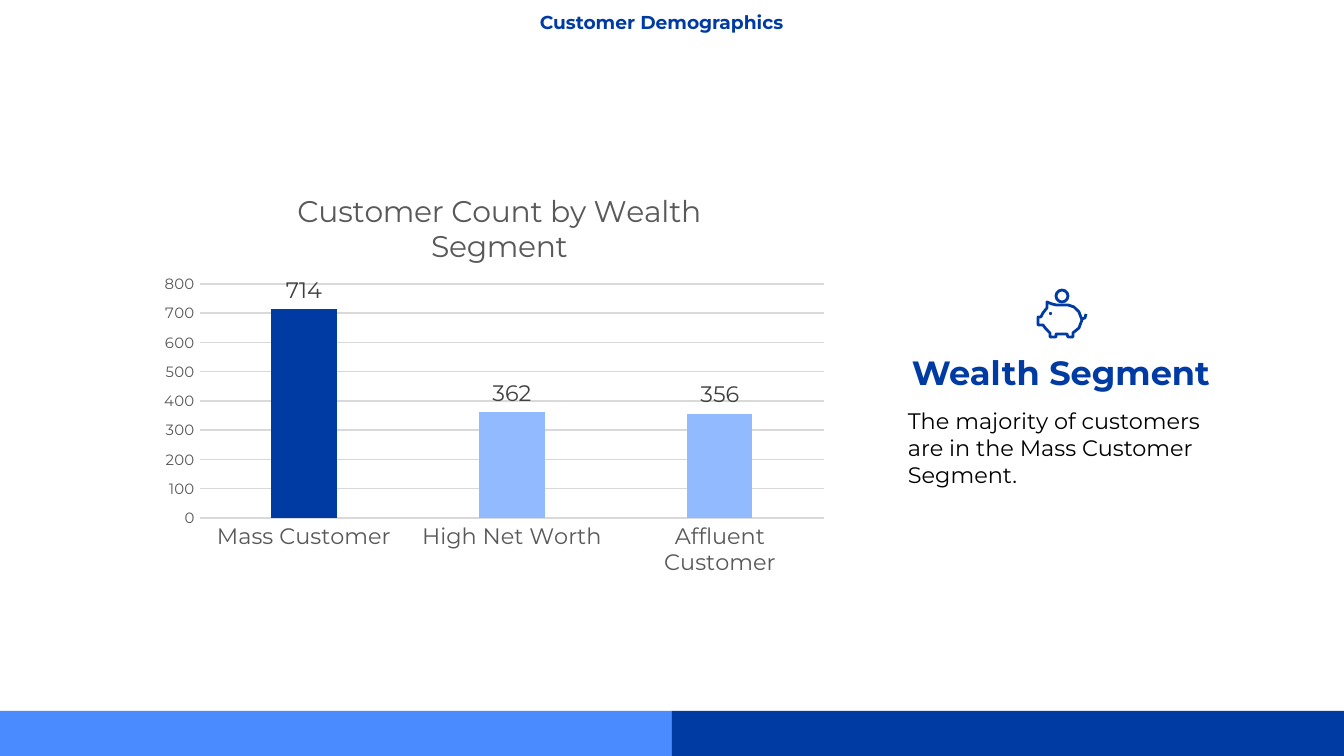
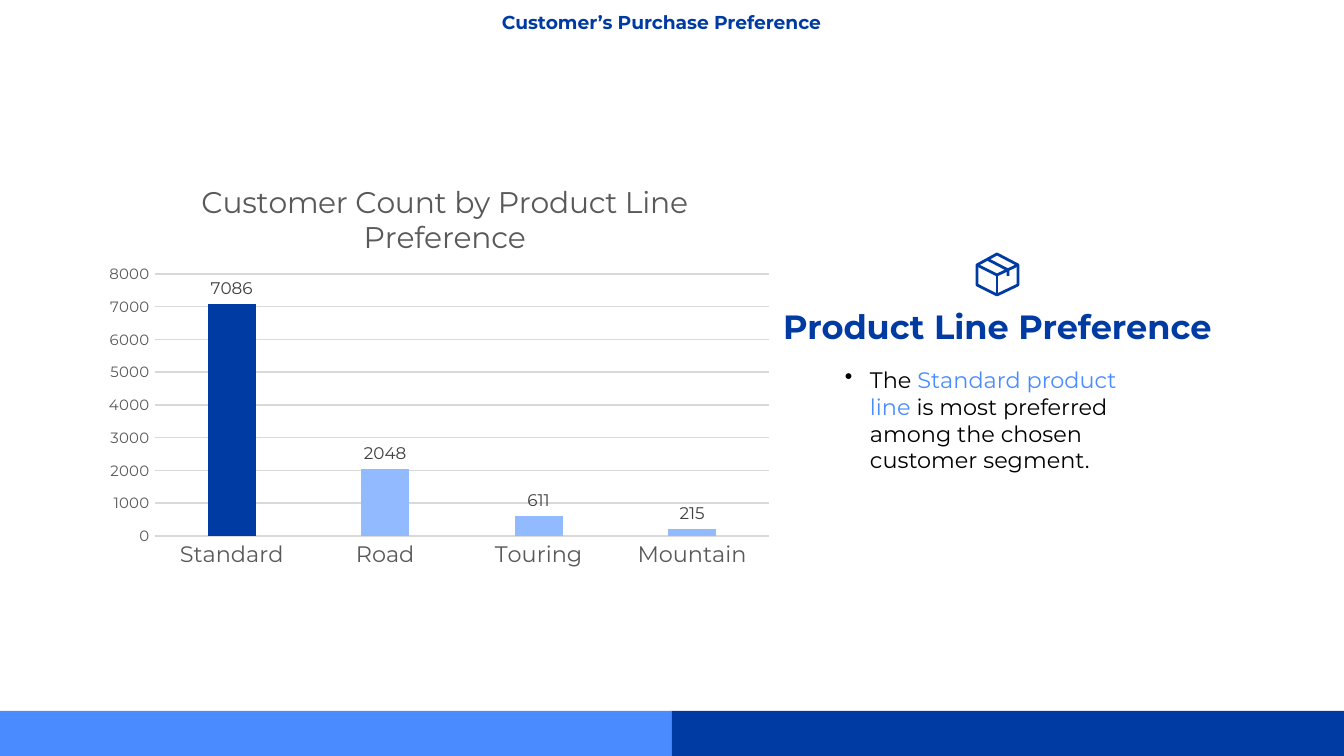
"""Build two customer insight slides, each with a column chart and a takeaway."""
from lxml import etree
from pptx import Presentation
from pptx.chart.data import CategoryChartData
from pptx.dml.color import RGBColor
from pptx.enum.chart import XL_CHART_TYPE, XL_LABEL_POSITION, XL_TICK_MARK
from pptx.enum.shapes import MSO_SHAPE
from pptx.enum.text import PP_ALIGN
from pptx.oxml.ns import qn
from pptx.util import Pt

PX = 914400 / 134.4
SLIDE_W, SLIDE_H = 1344, 756
BAND_TOP = 711
INSET = 13
CHART_SIZE = (688, 423)
FONT = "Montserrat"
NAVY = RGBColor(0x00, 0x3B, 0xA3)
BLUE = RGBColor(0x4A, 0x8C, 0xFF)
PALE = RGBColor(0x92, 0xBA, 0xFF)
BLACK = RGBColor(0, 0, 0)
GREY = RGBColor(0x59, 0x59, 0x59)
DARK_GREY = RGBColor(0x40, 0x40, 0x40)
GRID = RGBColor(0xD9, 0xD9, 0xD9)
COLUMN, OUTSIDE_END = XL_CHART_TYPE.COLUMN_CLUSTERED, XL_LABEL_POSITION.OUTSIDE_END
NO_TICK = XL_TICK_MARK.NONE
RECT, OVAL = MSO_SHAPE.RECTANGLE, MSO_SHAPE.OVAL
LEFT, CENTER = PP_ALIGN.LEFT, PP_ALIGN.CENTER

PIG = {
    "outlines": [
        ([(1047, 302), (1047, 308), (1043, 313), (1041, 317), (1038, 317),
          (1038, 325), (1043, 325), (1046, 329), (1050, 333), (1050, 337),
          (1056, 337), (1056, 334), (1067, 334), (1068, 337), (1073, 337),
          (1073, 333), (1079, 328), (1082, 320), (1079, 312), (1074, 307),
          (1068, 305), (1056, 305), (1052, 304)], True),
        ([(1082, 319), (1085, 318), (1086, 314)], False),
    ],
    "ring": (1056, 290, 12, 12),
    "dot": (1049, 312, 3, 3),
}
BOX = {
    "outlines": [
        ([(997, 254), (1018, 265), (1018, 285), (997, 295), (977, 285), (977, 265)], True),
        ([(977, 265), (997, 275), (1018, 265)], False),
        ([(997, 275), (997, 295)], False),
        ([(987, 259), (1008, 270), (1008, 276)], False),
    ],
}
SLIDES = [
    {
        "title": "Customer Demographics",
        "heading": ("Wealth Segment", (895, 339, 332, 60)),
        "takeaway": ([("The majority of customers are in the Mass Customer Segment.", BLACK)],
                     (895, 394, 332, 106)),
        "bulleted": False,
        "icon": PIG,
        "chart": {
            "title": "Customer Count by Wealth Segment",
            "counts": {"Mass Customer": 714, "High Net Worth": 362, "Affluent Customer": 356},
            "top": 800, "label_size": 12, "at": (151, 163),
            "title_at": (292, 186), "plot": (200, 284, 624, 234),
        },
    },
    {
        "title": "Customer’s Purchase Preference",
        "heading": ("Product Line Preference", (767, 293, 461, 60)),
        "takeaway": ([("The ", BLACK), ("Standard product line", BLUE),
                      (" is most preferred among the chosen customer segment.", BLACK)],
                     (832, 353, 332, 156)),
        "bulleted": True,
        "icon": BOX,
        "chart": {
            "title": "Customer Count by Product Line Preference",
            "counts": {"Standard": 7086, "Road": 2048, "Touring": 611, "Mountain": 215},
            "top": 8000, "label_size": 9, "at": (95, 153),
            "title_at": (196, 177), "plot": (155, 274, 614, 262),
        },
    },
]


def px(*lengths):
    return [round(length * PX) for length in lengths]


def set_font(font, size, color, bold=False):
    font.name, font.size, font.bold = FONT, Pt(size), bold
    font.color.rgb = color


def add_text(slide, at, runs, size, bold=False, align=LEFT, after=0):
    frame = slide.shapes.add_textbox(*px(*at)).text_frame
    frame.word_wrap = True
    frame.margin_left, frame.margin_top, frame.margin_right, frame.margin_bottom = px(*[INSET] * 4)
    paragraph = frame.paragraphs[0]
    paragraph.alignment, paragraph.space_after = align, Pt(after)
    for words, color in runs:
        run = paragraph.add_run()
        run.text = words
        set_font(run.font, size, color, bold)
    return paragraph


def add_bullet(paragraph):
    properties = paragraph._p.get_or_add_pPr()
    indent = px(25)[0]
    properties.set("marL", str(indent))
    properties.set("indent", str(-indent))
    etree.SubElement(properties, qn("a:buChar")).set("char", "•")


def add_solid(slide, kind, at, color):
    shape = slide.shapes.add_shape(kind, *px(*at))
    shape.shadow.inherit = False
    shape.fill.solid()
    shape.fill.fore_color.rgb = color
    shape.line.fill.background()


def outline(shape):
    shape.shadow.inherit = False
    shape.fill.background()
    shape.line.color.rgb = NAVY
    shape.line.width = Pt(1.5)


def add_icon(slide, icon):
    for points, closed in icon["outlines"]:
        builder = slide.shapes.build_freeform(*points[0], scale=PX)
        builder.add_line_segments(points[1:], close=closed)
        outline(builder.convert_to_shape())
    if "ring" in icon:
        outline(slide.shapes.add_shape(OVAL, *px(*icon["ring"])))
    if "dot" in icon:
        add_solid(slide, OVAL, icon["dot"], NAVY)


def place(element, origin, box, inner=False):
    for old in element.findall(qn("c:layout")):
        element.remove(old)
    layout = etree.Element(qn("c:layout"))
    manual = etree.SubElement(layout, qn("c:manualLayout"))
    settings = [("layoutTarget", "inner")] if inner else []
    settings += [("xMode", "edge"), ("yMode", "edge")]
    settings += [(axis, round((spot - start) / size, 4))
                 for axis, spot, start, size in zip("xy", box, origin, CHART_SIZE)]
    settings += [(side, round(length / size, 4))
                 for side, length, size in zip("wh", box[2:], CHART_SIZE)]
    for tag, value in settings:
        etree.SubElement(manual, qn("c:" + tag)).set("val", str(value))
    text = element.find(qn("c:tx"))
    if text is None:
        element.insert(0, layout)
    else:
        text.addnext(layout)


def add_column_chart(slide, content):
    data = CategoryChartData()
    data.categories = list(content["counts"])
    data.add_series("Series 1", list(content["counts"].values()))
    chart = slide.shapes.add_chart(COLUMN, *px(*content["at"], *CHART_SIZE), data).chart
    set_font(chart.font, 10, BLACK)
    chart.has_legend = False

    chart.has_title = True
    title_run = chart.chart_title.text_frame.paragraphs[0].add_run()
    title_run.text = content["title"]
    set_font(title_run.font, 16, GREY)
    chart.chart_title.include_in_layout = False
    place(chart.chart_title._element, content["at"], content["title_at"])
    place(chart._chartSpace.chart.plotArea, content["at"], content["plot"], inner=True)

    for axis, size in ((chart.category_axis, 12), (chart.value_axis, 8)):
        axis.major_tick_mark = axis.minor_tick_mark = NO_TICK
        set_font(axis.tick_labels.font, size, GREY)
    values = chart.value_axis
    values.minimum_scale, values.maximum_scale = 0, content["top"]
    values.major_unit = content["top"] / 8
    values.format.line.fill.background()
    for line in (chart.category_axis.format.line, values.major_gridlines.format.line):
        line.color.rgb = GRID
        line.width = Pt(0.75)

    plot = chart.plots[0]
    plot.gap_width, plot.overlap, plot.vary_by_categories = 219, -27, False
    counts = plot.series[0]
    for fill, color in ((counts.format.fill, PALE), (counts.points[0].format.fill, NAVY)):
        fill.solid()
        fill.fore_color.rgb = color
    labels = counts.data_labels
    labels.show_value = True
    labels.position = OUTSIDE_END
    set_font(labels.font, content["label_size"], DARK_GREY)


def add_bands(slide):
    half = SLIDE_W // 2
    for column, color in enumerate((BLUE, NAVY)):
        add_solid(slide, RECT, (column * half, BAND_TOP, half, SLIDE_H - BAND_TOP), color)


def build_slide(deck, content):
    slide = deck.slides.add_slide(deck.slide_layouts[6])
    add_bands(slide)
    heading, heading_at = content["heading"]
    add_text(slide, heading_at, [(heading, NAVY)], 18, True, CENTER, 16)
    runs, takeaway_at = content["takeaway"]
    takeaway = add_text(slide, takeaway_at, runs, 12, after=16)
    if content["bulleted"]:
        add_bullet(takeaway)
    add_column_chart(slide, content["chart"])
    add_icon(slide, content["icon"])
    add_text(slide, (95, 0, 1133, 85), [(content["title"], NAVY)], 10, True, CENTER)


def main():
    deck = Presentation()
    deck.slide_width, deck.slide_height = px(SLIDE_W, SLIDE_H)
    for content in SLIDES:
        build_slide(deck, content)
    deck.save("out.pptx")


if __name__ == "__main__":
    main()
